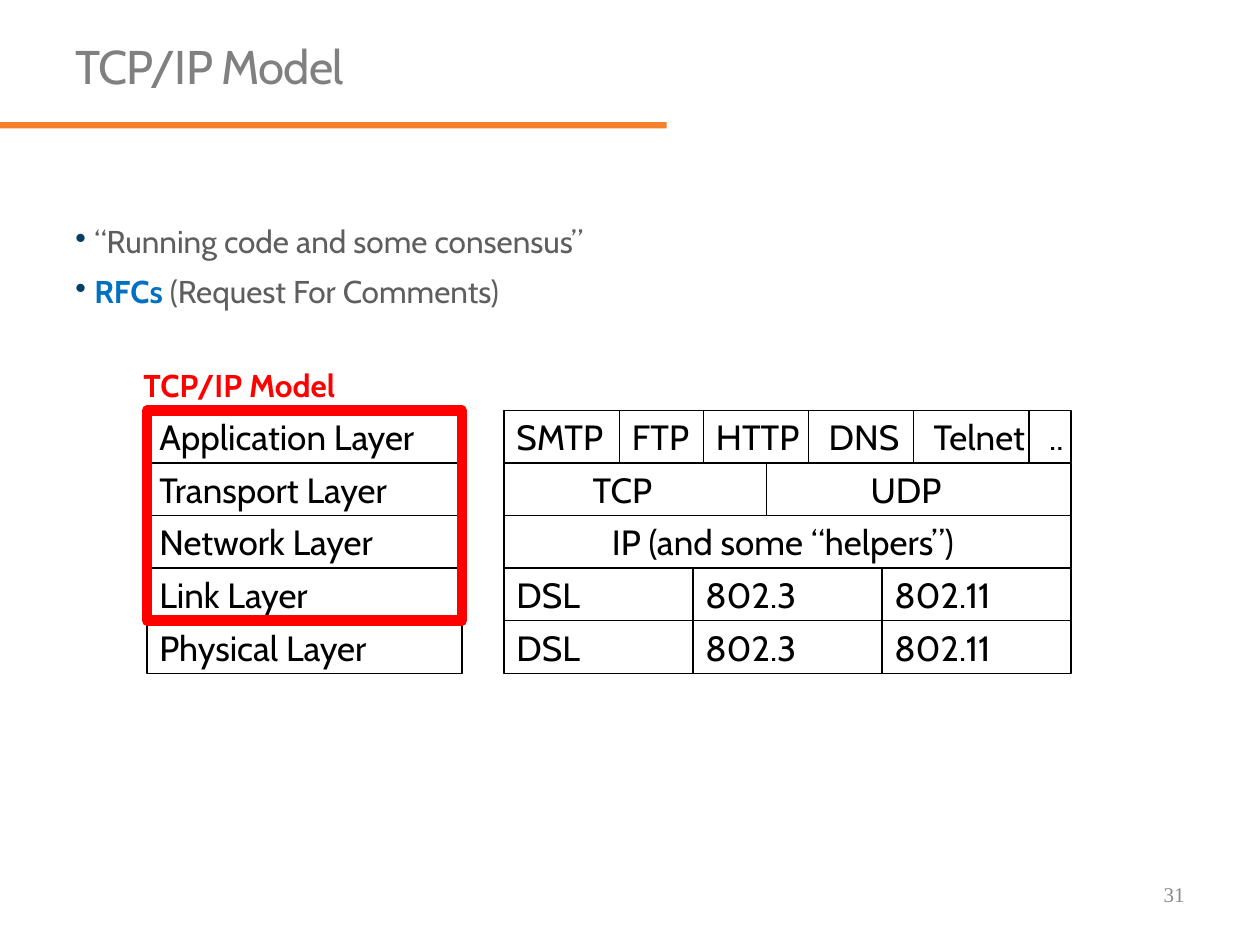
from dataclasses import dataclass

from lxml.etree import SubElement
from pptx import Presentation
from pptx.dml.color import RGBColor
from pptx.enum.shapes import MSO_SHAPE
from pptx.enum.text import MSO_ANCHOR, MSO_AUTO_SIZE, PP_ALIGN
from pptx.oxml.ns import qn
from pptx.shapes.autoshape import Shape
from pptx.slide import Slide
from pptx.text.text import _Paragraph as Paragraph
from pptx.text.text import _Run as Run
from pptx.util import Inches, Pt

COLOURS = {
    "accent": "F4812A", "title": "808080", "bullet": "004065",
    "body": "5E5E5E", "term": "0070C0", "black": "000000",
    "red": "FF0000", "number": "898989",
}
FONT = "Cabin"

# The layer diagram sits on a grid of twelfths of an inch.
UNIT = 1 / 12
ROW_HEIGHT = 5 * UNIT
DIAGRAM_TOP = 3.26
LAYER_LEFT, LAYER_UNITS = 14 * UNIT, 30
PROTOCOL_LEFT = 4.0


@dataclass(frozen=True)
class Cell:
    text: str
    units: int
    centred: bool = False
    left_inset: float = 0.1
    right_inset: float = 0.0


@dataclass(frozen=True)
class Layer:
    name: str
    protocols: tuple[Cell, ...]


LINK_PROTOCOLS = tuple(Cell(name, 18) for name in ("DSL", "802.3", "802.11"))
LAYERS = (
    Layer("Application Layer", (
        Cell("SMTP", 11), Cell("FTP", 8), Cell("HTTP", 10),
        Cell("DNS", 10, left_inset=0.16),
        Cell("Telnet", 11, left_inset=0.16),
        Cell("..", 4, left_inset=0.16),
    )),
    Layer("Transport Layer", (
        Cell("TCP", 25, centred=True, right_inset=0.3),
        Cell("UDP", 29, centred=True, right_inset=0.3),
    )),
    Layer("Network Layer", (
        Cell("IP (and some “helpers”)", 54, centred=True, right_inset=0.17),
    )),
    Layer("Link Layer", LINK_PROTOCOLS),
    Layer("Physical Layer", LINK_PROTOCOLS),
)


def colour(name: str) -> RGBColor:
    return RGBColor.from_string(COLOURS[name])


def add_span(para: Paragraph, text: str, size: float, shade: str,
             bold: bool = False, font: str = FONT) -> Run:
    span = para.add_run()
    span.text = text
    span.font.name = font
    span.font.size = Pt(size)
    span.font.bold = bold
    span.font.color.rgb = colour(shade)
    return span


def add_text_box(page: Slide, left: float, top: float, width: float,
                 height: float, wrap: bool = True) -> Shape:
    box = page.shapes.add_textbox(Inches(left), Inches(top),
                                  Inches(width), Inches(height))
    box.text_frame.word_wrap = wrap
    return box


def add_rectangle(page: Slide, left: float, top: float, width: float,
                  height: float) -> Shape:
    """Add a rectangle with neither fill nor shadow."""
    box = page.shapes.add_shape(MSO_SHAPE.RECTANGLE, Inches(left), Inches(top),
                                Inches(width), Inches(height))
    box.shadow.inherit = False
    box.fill.background()
    return box


def outline(box: Shape, shade: str, width: float) -> None:
    box.line.color.rgb = colour(shade)
    box.line.width = Pt(width)


def add_bullet(para: Paragraph) -> None:
    para.line_spacing = 0.9
    para.space_before = Pt(9)
    properties = para._p.get_or_add_pPr()
    properties.set("marL", str(Inches(0.15)))
    properties.set("indent", str(Inches(-0.15)))
    bullet_colour = SubElement(properties, qn("a:buClr"))
    SubElement(bullet_colour, qn("a:srgbClr"), val=COLOURS["bullet"])
    SubElement(properties, qn("a:buChar"), char="•")


def add_cell(page: Slide, cell: Cell, left: float, top: float) -> None:
    box = add_rectangle(page, left, top, cell.units * UNIT, ROW_HEIGHT)
    outline(box, "black", 0.75)
    frame = box.text_frame
    frame.word_wrap = False
    frame.vertical_anchor = MSO_ANCHOR.MIDDLE
    frame.margin_left = Inches(cell.left_inset)
    frame.margin_right = Inches(cell.right_inset)
    para = frame.paragraphs[0]
    para.alignment = PP_ALIGN.CENTER if cell.centred else PP_ALIGN.LEFT
    add_span(para, cell.text, 20, "black")


def add_heading(page: Slide) -> None:
    rule = add_rectangle(page, 0, 0.97, 5.29, 0.05)
    rule.fill.solid()
    rule.fill.fore_color.rgb = colour("accent")
    rule.line.fill.background()
    para = add_text_box(page, 0.5, 0.3, 9, 0.67).text_frame.paragraphs[0]
    para.line_spacing = 0.9
    span = add_span(para, "TCP/IP Model", 27, "title")
    span.font._element.set("spc", "-50")


def add_points(page: Slide) -> None:
    frame = add_text_box(page, 0.5, 1.75, 9, 0.46).text_frame
    motto, documents = frame.paragraphs[0], frame.add_paragraph()
    for para in (motto, documents):
        add_bullet(para)
    add_span(motto, "“Running code and some consensus”", 18, "body")
    add_span(documents, "RFCs", 18, "term", bold=True)
    add_span(documents, " (Request For Comments)", 18, "body")


def add_diagram(page: Slide) -> None:
    for row, layer in enumerate(LAYERS):
        top = DIAGRAM_TOP + row * ROW_HEIGHT
        add_cell(page, Cell(layer.name, LAYER_UNITS), LAYER_LEFT, top)
        left = PROTOCOL_LEFT
        for protocol in layer.protocols:
            add_cell(page, protocol, left, top)
            left += protocol.units * UNIT

    model_frame = add_rectangle(page, LAYER_LEFT, DIAGRAM_TOP,
                                LAYER_UNITS * UNIT, 4 * ROW_HEIGHT)
    outline(model_frame, "red", 6)
    label = add_text_box(page, 1.04, 2.86, 1.86, 0.4, wrap=False).text_frame
    label.auto_size = MSO_AUTO_SIZE.SHAPE_TO_FIT_TEXT
    add_span(label.paragraphs[0], "TCP/IP Model", 18, "red", bold=True)


def add_page_number(page: Slide) -> None:
    para = add_text_box(page, 7.17, 6.95, 2.33, 0.4).text_frame.paragraphs[0]
    para.alignment = PP_ALIGN.RIGHT
    add_span(para, "31", 12, "number", font="Times New Roman")


def main() -> None:
    deck = Presentation()
    deck.slide_width, deck.slide_height = Inches(10), Inches(7.5)
    page = deck.slides.add_slide(deck.slide_layouts[6])
    add_heading(page)
    add_points(page)
    add_diagram(page)
    add_page_number(page)
    deck.save("out.pptx")


if __name__ == "__main__":
    main()
